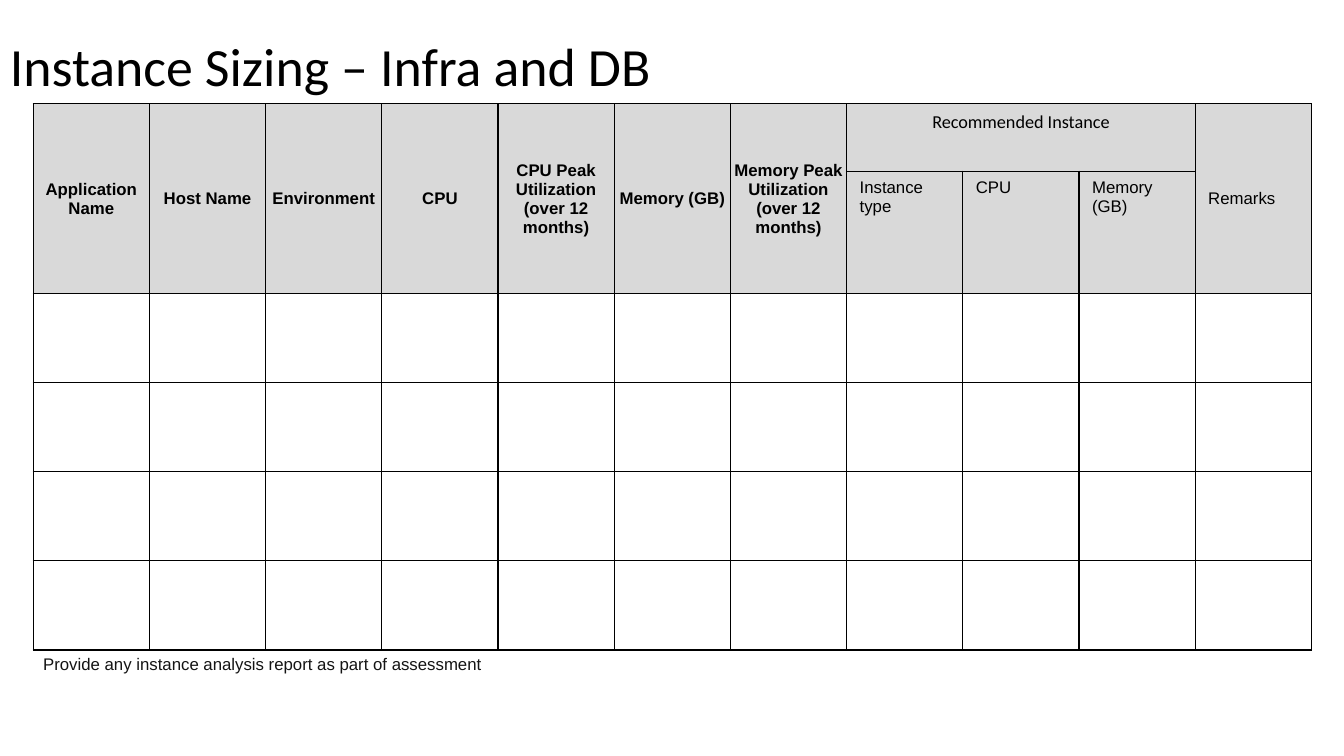
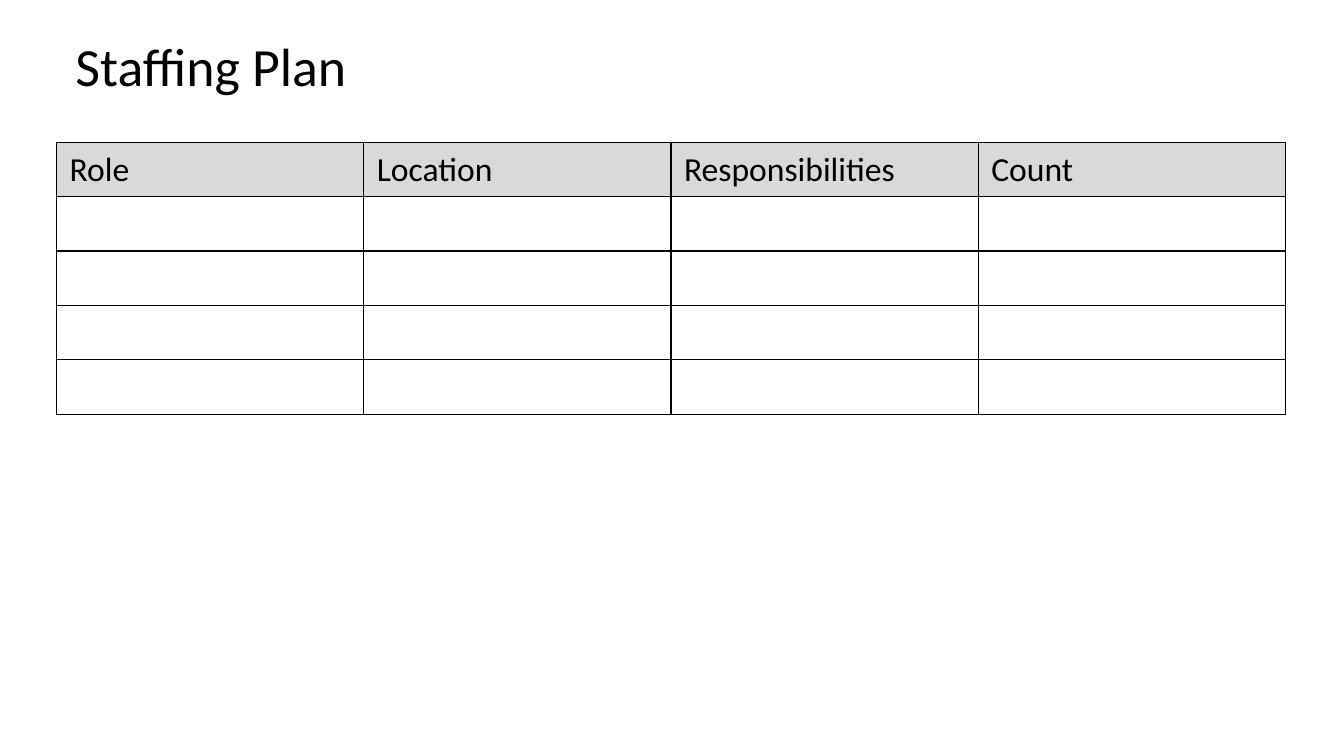
from dataclasses import dataclass

from lxml.etree import SubElement
from pptx import Presentation
from pptx.dml.color import RGBColor
from pptx.enum.text import MSO_ANCHOR as Anchor, PP_ALIGN as Align
from pptx.oxml.ns import qn
from pptx.slide import Slide
from pptx.table import Table, _Cell as Cell
from pptx.text.text import _Paragraph as Paragraph
from pptx.util import Inches, Pt

BLACK, NOTE_INK = "000000", "141414"
HEADER_FILL, BODY_FILL = "D9D9D9", "FFFFFF"
HEADING_FONT, DETAIL_FONT = "Calibri", "Arial"
TITLE_TOP, TITLE_HEIGHT = 0.36, 0.66
BORDER_WIDTH = Pt(1)


@dataclass(frozen=True)
class TextStyle:
    font: str
    size: float
    color: str = BLACK
    bold: bool = False
    align: Align = Align.LEFT
    anchor: Anchor = Anchor.TOP
    line_spacing: float = 1.0


@dataclass(frozen=True)
class Margins:
    side: float
    top: float
    bottom: float


@dataclass(frozen=True)
class Header:
    """A header cell, with the grid rows and columns it covers."""
    text: str
    row: int
    column: int
    style: TextStyle
    margins: Margins
    row_span: int = 1
    column_span: int = 1


TITLE = TextStyle(HEADING_FONT, 38.4, anchor=Anchor.MIDDLE, line_spacing=0.9)
NOTE = TextStyle(DETAIL_FONT, 12, NOTE_INK)
CURRENT = TextStyle(DETAIL_FONT, 12, bold=True, align=Align.CENTER, anchor=Anchor.MIDDLE)
GROUP = TextStyle(HEADING_FONT, 13, align=Align.CENTER)
RECOMMENDED = TextStyle(DETAIL_FONT, 12)
REMARKS = TextStyle(DETAIL_FONT, 12, anchor=Anchor.MIDDLE)
STAFFING = TextStyle(HEADING_FONT, 24)
TIGHT, ROOMY = Margins(0.01, 0.01, 0), Margins(0.13, 0.07, 0.07)

CURRENT_COLUMNS = (
    "Application Name", "Host Name", "Environment", "CPU",
    "CPU Peak Utilization (over 12 months)", "Memory (GB)",
    "Memory Peak Utilization (over 12 months)",
)
RECOMMENDED_COLUMNS = ("Instance type", "CPU", "Memory (GB)")
STAFFING_COLUMNS = ("Role", "Location", "Responsibilities", "Count")


def rgb(color: str) -> RGBColor:
    return RGBColor.from_string(color)


def write(paragraph: Paragraph, text: str, style: TextStyle) -> None:
    paragraph.text = text
    paragraph.alignment = style.align
    paragraph.line_spacing = style.line_spacing
    font = paragraph.font
    font.name, font.size, font.bold = style.font, Pt(style.size), style.bold
    font.color.rgb = rgb(style.color)


def add_text(slide: Slide, text: str, style: TextStyle,
             left: float, top: float, width: float, height: float) -> None:
    box = slide.shapes.add_textbox(Inches(left), Inches(top), Inches(width), Inches(height))
    frame = box.text_frame
    frame.word_wrap = True
    frame.vertical_anchor = style.anchor
    write(frame.paragraphs[0], text, style)


def add_title(slide: Slide, text: str, left: float, width: float) -> None:
    add_text(slide, text, TITLE, left, TITLE_TOP, width, TITLE_HEIGHT)


def add_borders(cell: Cell) -> None:
    properties = cell._tc.get_or_add_tcPr()
    for side in ("a:lnL", "a:lnR", "a:lnT", "a:lnB"):
        line = SubElement(properties, qn(side), w=str(BORDER_WIDTH))
        fill = SubElement(line, qn("a:solidFill"))
        SubElement(fill, qn("a:srgbClr"), val=BLACK)


def add_header(table: Table, header: Header) -> None:
    cell = table.cell(header.row, header.column)
    if header.row_span > 1 or header.column_span > 1:
        cell.merge(table.cell(header.row + header.row_span - 1,
                              header.column + header.column_span - 1))
    margins = header.margins
    cell.margin_left = cell.margin_right = Inches(margins.side)
    cell.margin_top, cell.margin_bottom = Inches(margins.top), Inches(margins.bottom)
    cell.vertical_anchor = header.style.anchor
    write(cell.text_frame.paragraphs[0], header.text, header.style)


def add_grid(slide: Slide, left: float, top: float, width: float, column_count: int,
             row_heights: list[float], header_rows: int, headers: list[Header]) -> None:
    """Add a bordered table with equal columns and shaded header rows."""
    table = slide.shapes.add_table(
        len(row_heights), column_count, Inches(left), Inches(top),
        Inches(width), Inches(sum(row_heights))).table
    table.first_row = table.horz_banding = False
    for column in table.columns:
        column.width = Inches(width / column_count)
    for index, height in enumerate(row_heights):
        table.rows[index].height = Inches(height)
        for cell in table.rows[index].cells:
            add_borders(cell)
            cell.fill.solid()
            cell.fill.fore_color.rgb = rgb(HEADER_FILL if index < header_rows else BODY_FILL)
    for header in headers:
        add_header(table, header)


def build_instance_sizing(slide: Slide) -> None:
    add_title(slide, "Instance Sizing – Infra and DB", 0, 12.34)
    first = len(CURRENT_COLUMNS)
    count = len(RECOMMENDED_COLUMNS)
    headers = [Header(text, 0, column, CURRENT, TIGHT, row_span=2)
               for column, text in enumerate(CURRENT_COLUMNS)]
    headers.append(Header("Recommended Instance", 0, first, GROUP, ROOMY, column_span=count))
    headers += [Header(text, 1, column, RECOMMENDED, ROOMY)
                for column, text in enumerate(RECOMMENDED_COLUMNS, first)]
    headers.append(Header("Remarks", 0, first + count, REMARKS, ROOMY, row_span=2))
    add_grid(slide, 0.33, 1.03, 12.68, first + count + 1,
             [0.67, 1.21] + [0.885] * 4, 2, headers)
    add_text(slide, "Provide any instance analysis report as part of assessment",
             NOTE, 0.33, 6.44, 5.57, 0.3)


def build_staffing_plan(slide: Slide) -> None:
    add_title(slide, "Staffing Plan", 0.65, 12.68)
    headers = [Header(text, 0, column, STAFFING, ROOMY)
               for column, text in enumerate(STAFFING_COLUMNS)]
    add_grid(slide, 0.56, 1.41, 12.19, len(headers), [0.54] * 5, 1, headers)


def main() -> None:
    deck = Presentation()
    deck.slide_width, deck.slide_height = Inches(13.33), Inches(7.5)
    blank = deck.slide_layouts[6]
    for build in (build_instance_sizing, build_staffing_plan):
        build(deck.slides.add_slide(blank))
    deck.save("out.pptx")


if __name__ == "__main__":
    main()
